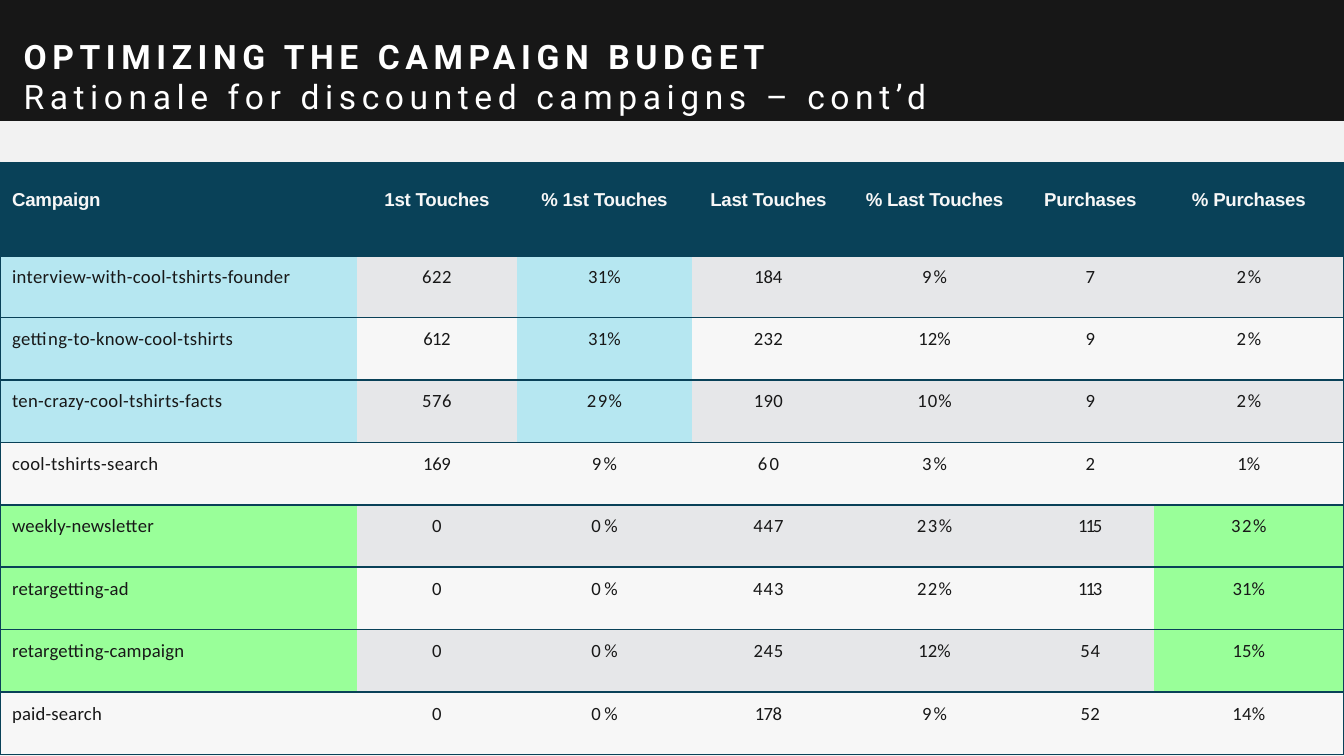
"""Builds the campaign budget slide with its table of touches and purchases."""
from dataclasses import dataclass
from typing import Any

from lxml import etree
from pptx import Presentation
from pptx import util as u
from pptx.dml.color import RGBColor
from pptx.enum import text
from pptx.oxml import ns


@dataclass(frozen=True)
class Theme:
    background: str = "F2F2F2"
    banner: str = "171717"
    white: str = "FFFFFF"
    navy: str = "094158"
    ink: str = "181818"
    light: str = "F7F7F7"
    grey: str = "E6E7E9"
    blue: str = "B6E7F1"
    green: str = "99FF99"
    title_size: float = 18
    table_size: float = 10


@dataclass(frozen=True)
class Column:
    heading: str
    width: float
    indent: float = 0
    centred: bool = True


@dataclass(frozen=True)
class Campaign:
    values: tuple[str, ...]
    highlight: str = ""
    highlighted_columns: tuple[int, ...] = ()


@dataclass(frozen=True)
class TextStyle:
    name: str
    size: float
    colour: str
    bold: bool = False


THEME = Theme()
TITLE = TextStyle("Roboto", THEME.title_size, THEME.white, True)
SUBTITLE = TextStyle("Roboto", THEME.title_size, THEME.white)
HEADING = TextStyle("Arial", THEME.table_size, THEME.light, True)
BODY = TextStyle("Calibri", THEME.table_size, THEME.ink)

SLIDE_WIDTH, SLIDE_HEIGHT = 720, 405
BANNER_HEIGHT = 64.8
TABLE_TOP = 87.2
HEADING_HEIGHT, FIRST_HEIGHT, ROW_HEIGHT = 49.9, 33, 33.45
HEADING_INSET, BODY_INSET = 14.5, 5.5
TITLE_TRACKING, HEADING_TRACKING, NAME_TRACKING = 3, -0.1, 0.2

COLUMNS = (
    Column("Campaign", 191.2, 6.5, False),
    Column("1st Touches", 85.8),
    Column("% 1st Touches", 93.7),
    Column("Last Touches", 82),
    Column("% Last Touches", 96),
    Column("Purchases", 69.5, 1.4),
    Column("% Purchases", 101.8),
)

FIRST_TOUCH = (THEME.blue, (0, 2))
PURCHASE = (THEME.green, (0, 6))
CAMPAIGNS = (
    Campaign(("interview-with-cool-tshirts-founder", "622", "31%", "184", "9%", "7", "2%"), *FIRST_TOUCH),
    Campaign(("getting-to-know-cool-tshirts", "612", "31%", "232", "12%", "9", "2%"), *FIRST_TOUCH),
    Campaign(("ten-crazy-cool-tshirts-facts", "576", "29%", "190", "10%", "9", "2%"), *FIRST_TOUCH),
    Campaign(("cool-tshirts-search", "169", "9%", "60", "3%", "2", "1%")),
    Campaign(("weekly-newsletter", "0", "0%", "447", "23%", "115", "32%"), *PURCHASE),
    Campaign(("retargetting-ad", "0", "0%", "443", "22%", "113", "31%"), *PURCHASE),
    Campaign(("retargetting-campaign", "0", "0%", "245", "12%", "54", "15%"), *PURCHASE),
    Campaign(("paid-search", "0", "0%", "178", "9%", "52", "14%")),
)

TRACKING = {
    "622": 0.3, "184": -0.1, "612": -0.3, "232": 0.2, "576": 0.3, "190": 0.2,
    "169": -0.2, "60": 1.2, "447": 0.5, "443": 0.6, "245": 0.4, "178": -0.3,
    "115": -1.1, "113": -1.1, "54": 0.5, "52": 0.2,
    "0%": 1.9, "1%": 0, "2%": 1, "3%": 1.1, "9%": 1.2, "10%": 0.6, "12%": 0.1,
    "14%": 0.2, "15%": 0.1, "22%": 0.7, "23%": 0.8, "29%": 0.8, "31%": 0.1,
    "32%": 0.8, "0": 0, "2": 0, "7": 0, "9": 0,
    "weekly-newsletter": 0.1, "retargetting-ad": 0.1,
    "retargetting-campaign": 0.1, "paid-search": 0.1,
}


def set_attributes(target: Any, values: dict[str, Any]) -> None:
    for name, value in values.items():
        setattr(target, name, value)


def fill_solid(target: Any, colour: str) -> None:
    target.fill.solid()
    target.fill.fore_color.rgb = RGBColor.from_string(colour)


def write(paragraph: Any, content: str, style: TextStyle, tracking: float, alignment: Any) -> None:
    paragraph.alignment = alignment
    run = paragraph.add_run()
    run.text = content
    set_attributes(run.font, {"name": style.name, "size": u.Pt(style.size), "bold": style.bold})
    run.font.color.rgb = RGBColor.from_string(style.colour)
    run._r.get_or_add_rPr().set("spc", str(round(tracking * 100)))


def draw_title(slide: Any) -> None:
    shape = slide.shapes.title
    set_attributes(shape, {"left": 0, "top": 0, "width": u.Pt(SLIDE_WIDTH), "height": u.Pt(BANNER_HEIGHT)})
    fill_solid(shape, THEME.banner)
    frame = shape.text_frame
    set_attributes(frame, {
        "margin_left": u.Pt(12.6), "margin_right": u.Pt(5), "margin_top": u.Pt(21.6),
        "margin_bottom": u.Pt(5), "word_wrap": True, "auto_size": text.MSO_AUTO_SIZE.NONE,
        "vertical_anchor": text.MSO_ANCHOR.MIDDLE,
    })
    left = text.PP_ALIGN.LEFT
    write(frame.paragraphs[0], "OPTIMIZING THE CAMPAIGN BUDGET", TITLE, TITLE_TRACKING, left)
    write(frame.add_paragraph(), "Rationale for discounted campaigns – cont’d", SUBTITLE, TITLE_TRACKING, left)


def set_borders(cell: Any, first: bool, last: bool) -> None:
    properties = cell._tc.get_or_add_tcPr()
    for side, visible in {"L": first, "R": last, "T": True, "B": True}.items():
        line = etree.SubElement(properties, ns.qn(f"a:ln{side}"), w=str(u.Pt(1)))
        if visible:
            fill = etree.SubElement(line, ns.qn("a:solidFill"))
            etree.SubElement(fill, ns.qn("a:srgbClr"), val=THEME.navy)
        else:
            etree.SubElement(line, ns.qn("a:noFill"))


def draw_cell(cell: Any, index: int, content: str, style: TextStyle, fill: str, inset: float, tracking: float) -> None:
    column = COLUMNS[index]
    set_attributes(cell, {
        "margin_left": u.Pt(column.indent), "margin_right": 0, "margin_top": u.Pt(inset),
        "margin_bottom": 0, "vertical_anchor": text.MSO_ANCHOR.TOP,
    })
    set_borders(cell, index == 0, index == len(COLUMNS) - 1)
    fill_solid(cell, fill)
    alignment = text.PP_ALIGN.CENTER if column.centred else text.PP_ALIGN.LEFT
    write(cell.text_frame.paragraphs[0], content, style, tracking, alignment)


def draw_table(slide: Any) -> None:
    heights = [HEADING_HEIGHT, FIRST_HEIGHT] + [ROW_HEIGHT] * (len(CAMPAIGNS) - 1)
    table = slide.shapes.add_table(
        len(heights), len(COLUMNS), 0, u.Pt(TABLE_TOP), u.Pt(SLIDE_WIDTH), u.Pt(sum(heights))
    ).table
    table.horz_banding = False
    for row, height in zip(table.rows, heights):
        row.height = u.Pt(height)
    for index, column in enumerate(COLUMNS):
        table.columns[index].width = u.Pt(column.width)
        draw_cell(table.cell(0, index), index, column.heading, HEADING, THEME.navy, HEADING_INSET, HEADING_TRACKING)
    for number, campaign in enumerate(CAMPAIGNS, 1):
        band = THEME.grey if number % 2 else THEME.light
        for index, value in enumerate(campaign.values):
            fill = campaign.highlight if index in campaign.highlighted_columns else band
            tracking = TRACKING.get(value, NAME_TRACKING)
            draw_cell(table.cell(number, index), index, value, BODY, fill, BODY_INSET, tracking)


def main() -> None:
    presentation = Presentation()
    set_attributes(presentation, {"slide_width": u.Pt(SLIDE_WIDTH), "slide_height": u.Pt(SLIDE_HEIGHT)})
    slide = presentation.slides.add_slide(presentation.slide_layouts[5])
    fill_solid(slide.background, THEME.background)
    draw_title(slide)
    draw_table(slide)
    presentation.save("out.pptx")


if __name__ == "__main__":
    main()
